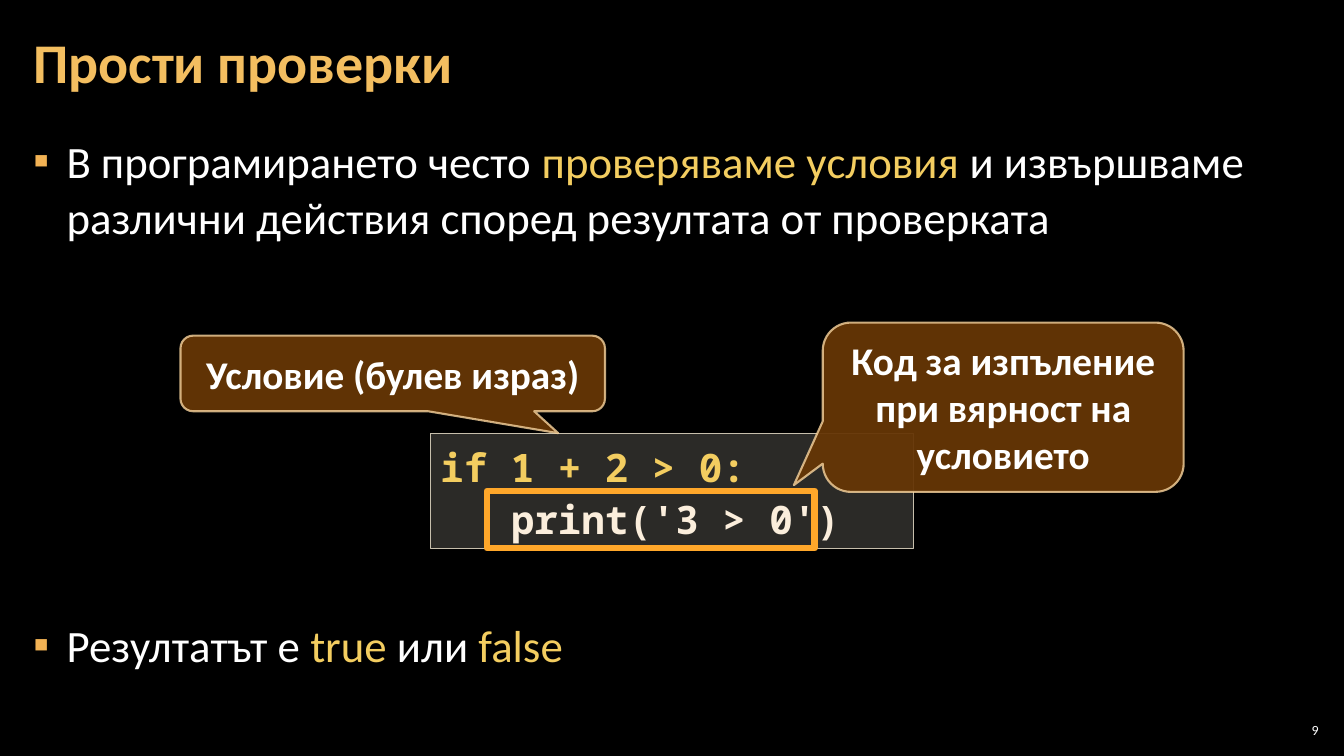
from lxml.etree import SubElement
from pptx import Presentation
from pptx.dml.color import RGBColor
from pptx.enum.shapes import MSO_SHAPE
from pptx.enum.text import MSO_ANCHOR, MSO_AUTO_SIZE, PP_ALIGN
from pptx.oxml.ns import qn
from pptx.util import Inches, Pt

COLORS = {
    "background": "000000",
    "text": "FFFFFF",
    "title": "F3BE60",
    "highlight": "F3CD60",
    "bullet": "F2B254",
    "code": "FBEEDC",
    "code_fill": "D9D5C7",
    "code_line": "C7BFAC",
    "callout_fill": "663606",
    "callout_line": "F8D49E",
    "frame": "FFA72A",
}


def color(name):
    """Return the named palette colour."""
    return RGBColor.from_string(COLORS[name])


def set_opacity(fill_format, percent):
    """Make the solid fill of a shape or line partly transparent."""
    element = fill_format._xPr.find(qn("a:solidFill"))[0]
    SubElement(element, qn("a:alpha"), val=str(percent * 1000))


def add_bullet(paragraph, indent):
    """Give a paragraph a hanging square bullet."""
    properties = paragraph._p.get_or_add_pPr()
    properties.set("marL", str(Inches(indent)))
    properties.set("indent", str(-Inches(indent)))
    bullet_color = SubElement(properties, qn("a:buClr"))
    SubElement(bullet_color, qn("a:srgbClr"), val=COLORS["bullet"])
    SubElement(properties, qn("a:buFont"), typeface="Calibri")
    SubElement(properties, qn("a:buChar"), char="▪")


def write_text(frame, paragraphs, size=28, font="Calibri", bold=False,
               align=PP_ALIGN.LEFT, anchor=MSO_ANCHOR.TOP,
               insets=(0.1, 0.05), line_spacing=1.0):
    """Write paragraphs made of (text, colour name) runs and return them."""
    frame.word_wrap = True
    frame.auto_size = MSO_AUTO_SIZE.NONE
    frame.vertical_anchor = anchor
    frame.margin_left = frame.margin_right = Inches(insets[0])
    frame.margin_top = frame.margin_bottom = Inches(insets[1])
    for index, runs in enumerate(paragraphs):
        paragraph = frame.add_paragraph() if index else frame.paragraphs[0]
        paragraph.alignment = align
        paragraph.line_spacing = line_spacing
        for text, color_name in runs:
            run = paragraph.add_run()
            run.text = text
            run.font.name = font
            run.font.size = Pt(size)
            run.font.bold = bold
            run.font.color.rgb = color(color_name)
    return frame.paragraphs


class SlideBuilder:
    """Hold the slide and the shared style of its elements."""

    insets = (0.12, 0.04)
    code_font = "Noto Sans Mono"

    def __init__(self, presentation):
        """Add a title-only slide with a plain background."""
        self.slide = presentation.slides.add_slide(presentation.slide_layouts[5])
        fill = self.slide.background.fill
        fill.solid()
        fill.fore_color.rgb = color("background")

    def title(self, text, *box):
        """Place and format the title placeholder."""
        shape = self.slide.shapes.title
        shape.left, shape.top, shape.width, shape.height = map(Inches, box)
        write_text(shape.text_frame, [[(text, "title")]], size=40, bold=True,
                   anchor=MSO_ANCHOR.MIDDLE, insets=self.insets, line_spacing=0.9)

    def bullets(self, paragraphs, gap, *box):
        """Add a bulleted list with a wide gap between its items."""
        shape = self.slide.shapes.add_textbox(*map(Inches, box))
        items = write_text(shape.text_frame, paragraphs, size=32,
                           insets=self.insets, line_spacing=1.05)
        for index, paragraph in enumerate(items):
            paragraph.space_before = Pt(gap if index else 6)
            paragraph.space_after = Pt(6)
            add_bullet(paragraph, 0.33)

    def page_number(self, text, *box):
        """Add the small page number."""
        shape = self.slide.shapes.add_textbox(*map(Inches, box))
        write_text(shape.text_frame, [[(text, "text")]], size=10,
                   align=PP_ALIGN.RIGHT, anchor=MSO_ANCHOR.MIDDLE,
                   insets=(0.04, 0.04))

    def shape(self, kind, box, line, width, fill=None, opacity=100):
        """Add an outlined shape, filled if a fill colour is named."""
        shape = self.slide.shapes.add_shape(kind, *map(Inches, box))
        shape.shadow.inherit = False
        shape.line.color.rgb = color(line)
        shape.line.width = Pt(width)
        if fill:
            shape.fill.solid()
            shape.fill.fore_color.rgb = color(fill)
            set_opacity(shape.fill, opacity)
        else:
            shape.fill.background()
        return shape

    def code(self, condition, body, *box):
        """Add a code panel with a condition and its indented body."""
        panel = self.shape(MSO_SHAPE.RECTANGLE, box, "code_line", 1, "code_fill", 20)
        lines = write_text(panel.text_frame,
                           [[(condition, "highlight")], [(body, "code")]],
                           font=self.code_font, bold=True, line_spacing=1.1)
        lines[1]._p.get_or_add_pPr().set("marL", str(Inches(0.7)))

    def callout(self, text, pointer, *box):
        """Add a rounded callout whose tip lies at the pointer."""
        callout = self.shape(MSO_SHAPE.ROUNDED_RECTANGULAR_CALLOUT, box,
                             "callout_line", 1.5, "callout_fill", 95)
        set_opacity(callout.line.fill, 80)
        callout.adjustments[0], callout.adjustments[1] = pointer
        write_text(callout.text_frame, [[(text, "text")]], bold=True,
                   align=PP_ALIGN.CENTER, anchor=MSO_ANCHOR.MIDDLE)


def main():
    """Build and save the slide."""
    presentation = Presentation()
    presentation.slide_width = Inches(13.33)
    presentation.slide_height = Inches(7.5)
    builder = SlideBuilder(presentation)
    builder.bullets([
        [("В програмирането често ", "text"),
         ("проверяваме условия ", "highlight"),
         ("и извършваме различни действия според резултата от проверката", "text")],
        [("Резултатът е ", "text"), ("true ", "highlight"),
         ("или ", "text"), ("false", "highlight")],
    ], 259, 0.21, 1.26, 12.91, 6.09)
    builder.page_number("9", 12.65, 7.14, 0.47, 0.21)
    builder.title("Прости проверки", 0.21, 0.04, 10.47, 1.21)
    builder.code("if 1 + 2 > 0:", "print('3 > 0')", 4.27, 4.3, 4.79, 1.14)
    builder.callout("Условие (булев израз)", (0.39, 0.79), 1.79, 3.33, 4.21, 0.75)
    builder.callout("Код за изпъление при вярност на условието", (-0.58, 0.46),
                    8.16, 3.2, 3.58, 1.68)
    builder.shape(MSO_SHAPE.RECTANGLE, (4.83, 4.87, 3.25, 0.57), "frame", 4.5)
    presentation.save("out.pptx")


if __name__ == "__main__":
    main()
